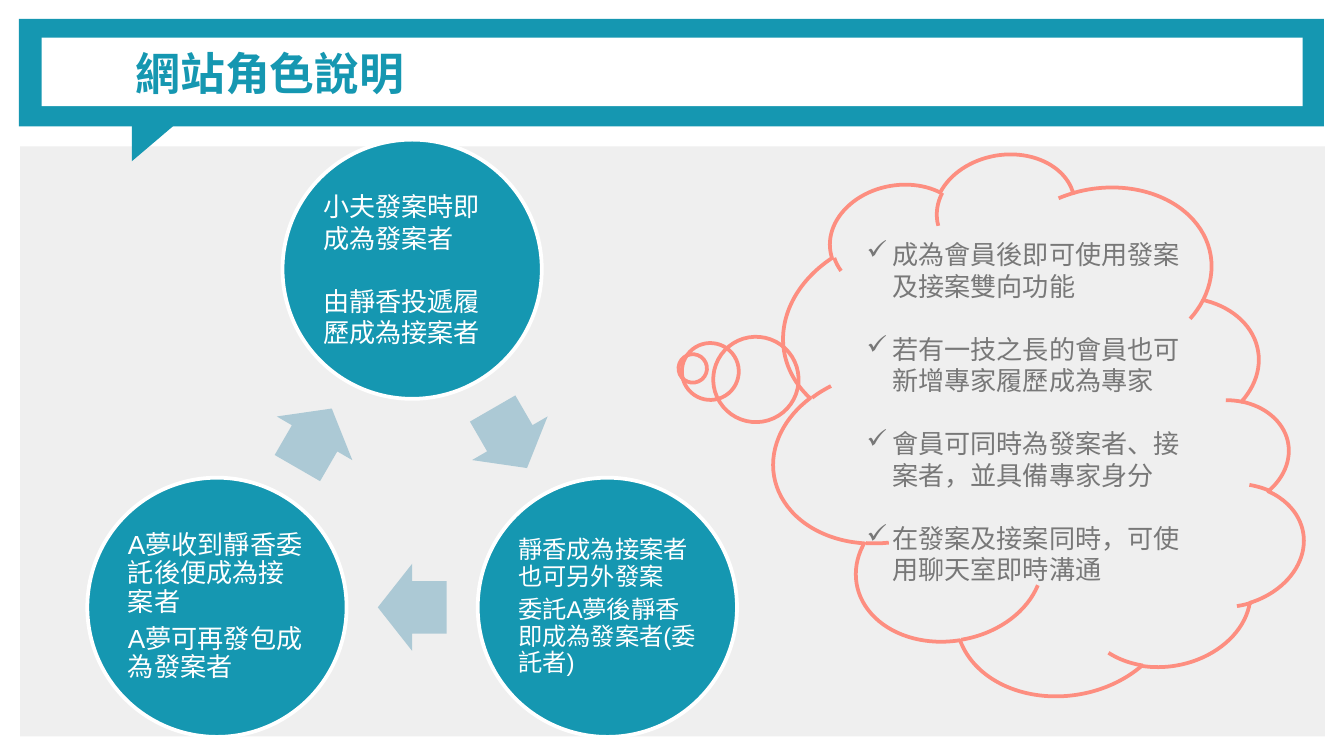
import math

import lxml.etree
import pptx
import pptx.dml.color
import pptx.enum.shapes
import pptx.enum.text
import pptx.oxml.ns
import pptx.util

Cm = pptx.util.Cm
Pt = pptx.util.Pt
RGB = pptx.dml.color.RGBColor
MSO = pptx.enum.shapes.MSO_SHAPE
ANCHOR = pptx.enum.text.MSO_ANCHOR
ALIGN = pptx.enum.text.PP_ALIGN
qn = pptx.oxml.ns.qn

TEAL = RGB(0x15, 0x97, 0xB1)
PALE_BLUE = RGB(0xAC, 0xC9, 0xD5)
LIGHT_GREY = RGB(0xEF, 0xEF, 0xEF)
GREY = RGB(0x78, 0x78, 0x78)
CORAL = RGB(0xFD, 0x8E, 0x80)
WHITE = RGB(0xFF, 0xFF, 0xFF)

prs = pptx.Presentation()
prs.slide_width, prs.slide_height = Cm(25.4), Cm(14.29)
s = prs.slides.add_slide(prs.slide_layouts[5])


def add_shape(kind, x, y, w, h, fill=None, line=None, rotation=0):
    sp = s.shapes.add_shape(kind, Cm(x), Cm(y), Cm(w), Cm(h))
    sp.shadow.inherit = False
    sp.rotation = rotation
    if fill is None:
        sp.fill.background()
    else:
        sp.fill.solid()
        sp.fill.fore_color.rgb = fill
    if line is None:
        sp.line.fill.background()
    else:
        sp.line.color.rgb = line
        sp.line.width = Pt(2)
    return sp


def write_text(tf, texts, frame, para, font, color):
    for name, value in frame.items():
        setattr(tf, name, value)
    for i, text in enumerate(texts):
        p = tf.paragraphs[0] if i == 0 else tf.add_paragraph()
        for name, value in para.items():
            setattr(p, name, value)
        r = p.add_run()
        r.text = text
        for name, value in font.items():
            setattr(r.font, name, value)
        r.font.color.rgb = color


add_shape(MSO.RECTANGLE, 0.38, 2.77, 24.66, 11.15, LIGHT_GREY)
add_shape(MSO.RECTANGLE, 0.36, 0.36, 24.66, 2.03, TEAL)
add_shape(MSO.RIGHT_TRIANGLE, 2.57, 2.06, 0.91, 1.07, TEAL, rotation=90)
add_shape(MSO.RECTANGLE, 0.79, 0.71, 23.83, 1.3, WHITE)

title = s.shapes.title
box = {"left": 2.31, "top": 0.36, "width": 22.1, "height": 2.03}
for name, value in box.items():
    setattr(title, name, Cm(value))
margins = ("margin_left", "margin_top", "margin_right", "margin_bottom")
frame = dict.fromkeys(margins, Cm(0.25))
frame.update(vertical_anchor=ANCHOR.MIDDLE, word_wrap=True,
             auto_size=pptx.enum.text.MSO_AUTO_SIZE.NONE)
write_text(title.text_frame, ["網站角色說明"], frame, {"alignment": ALIGN.LEFT},
           {"name": "Cabin", "size": Pt(24), "bold": True}, TEAL)
title.element.getparent().append(title.element)

roles = [
    (14, 1.0, 17, ["小夫發案時即 成為發案者", "由靜香投遞履歷成為接案者"]),
    (13, 0.9, 4, ["靜香成為接案者也可另外發案", "委託A夢後靜香即成為發案者(委託者)"]),
    (14, 0.9, 5, ["A夢收到靜香委託後便成為接案者", "A夢可再發包成為發案者"]),
]
center_x, center_y, radius = 7.79, 9.35, 4.26
diameter, arrow_w, arrow_h = 4.9, 1.3, 1.65
frame = dict.fromkeys(margins, Cm(0.05))
frame.update(vertical_anchor=ANCHOR.MIDDLE, word_wrap=True)
for i, (size, spacing, gap, texts) in enumerate(roles):
    angle = 120 * i - 90
    x = center_x + radius * math.cos(math.radians(angle))
    y = center_y + radius * math.sin(math.radians(angle))
    sp = add_shape(MSO.OVAL, x - diameter / 2, y - diameter / 2,
                   diameter, diameter, TEAL, WHITE)
    para = {"alignment": ALIGN.LEFT, "line_spacing": spacing, "space_after": Pt(gap)}
    write_text(sp.text_frame, texts, frame, para,
               {"name": "Arial", "size": Pt(size)}, WHITE)
    sp.text_frame.paragraphs[-1].space_after = Pt(0)

    angle += 60
    x = center_x + radius / 2 * math.cos(math.radians(angle))
    y = center_y + radius / 2 * math.sin(math.radians(angle))
    sp = add_shape(MSO.RIGHT_ARROW, x - arrow_w / 2, y - arrow_h / 2,
                   arrow_w, arrow_h, PALE_BLUE, rotation=angle + 90)
    sp.adjustments[0], sp.adjustments[1] = 0.6, 0.5

add_shape(MSO.CLOUD_CALLOUT, 14.27, 3.23, 10.29, 9.68, line=CORAL, rotation=80.4)

notes = [
    "成為會員後即可使用發案及接案雙向功能",
    "若有一技之長的會員也可新增專家履歷成為專家",
    "會員可同時為發案者、接案者，並具備專家身分",
    "在發案及接案同時，可使用聊天室即時溝通",
]
tb = s.shapes.add_textbox(Cm(16.13), Cm(4.39), Cm(6.53), Cm(6.83))
write_text(tb.text_frame, notes, {"word_wrap": True}, {"space_after": Pt(17)},
           {"name": "Arial", "size": Pt(14)}, GREY)
for p in tb.text_frame.paragraphs:
    pPr = p._p.get_or_add_pPr()
    pPr.set("marL", str(Cm(0.48)))
    pPr.set("indent", str(-Cm(0.48)))
    color = lxml.etree.SubElement(pPr, qn("a:buClr"))
    lxml.etree.SubElement(color, qn("a:srgbClr"), val=str(GREY))
    lxml.etree.SubElement(pPr, qn("a:buChar"), char="✓")

prs.save("out.pptx")
